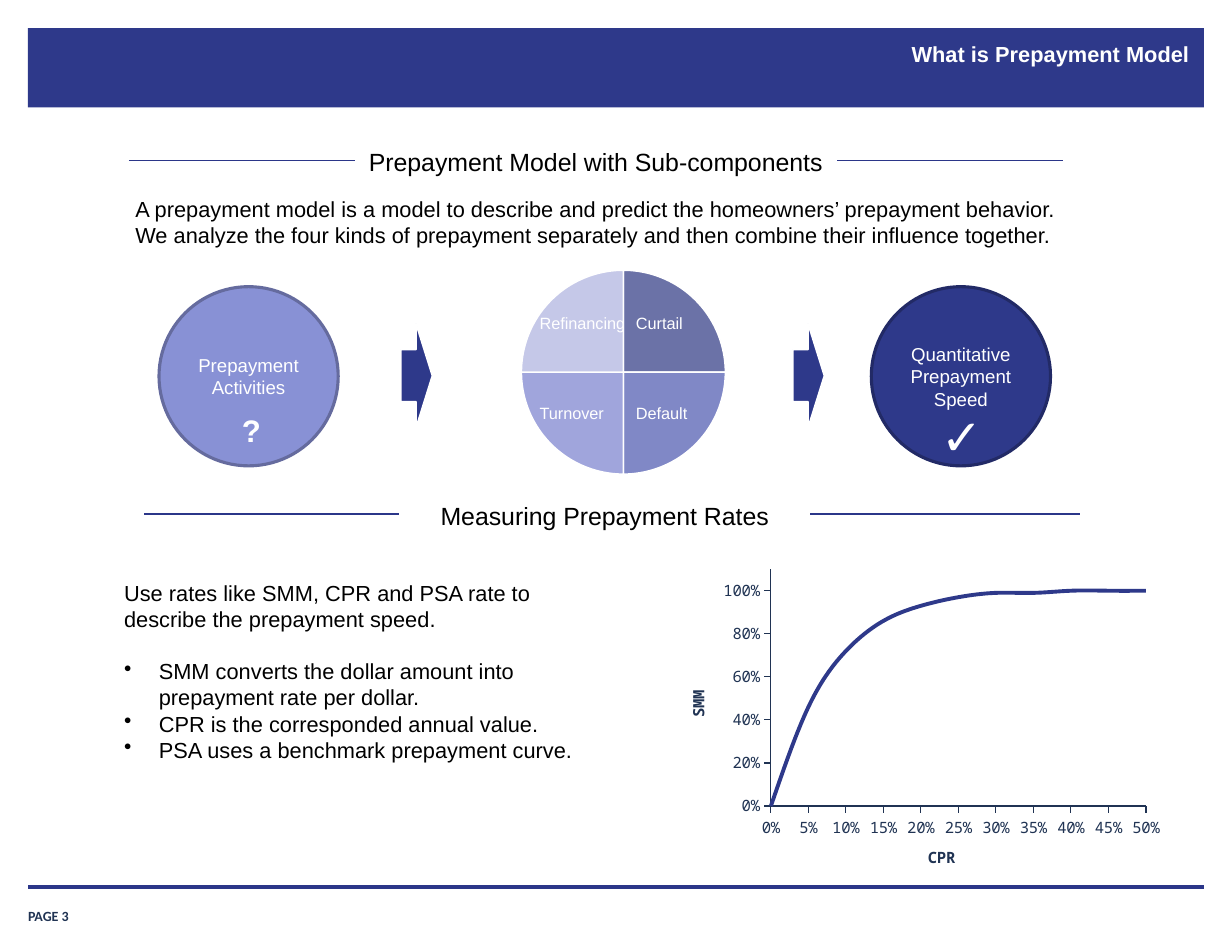
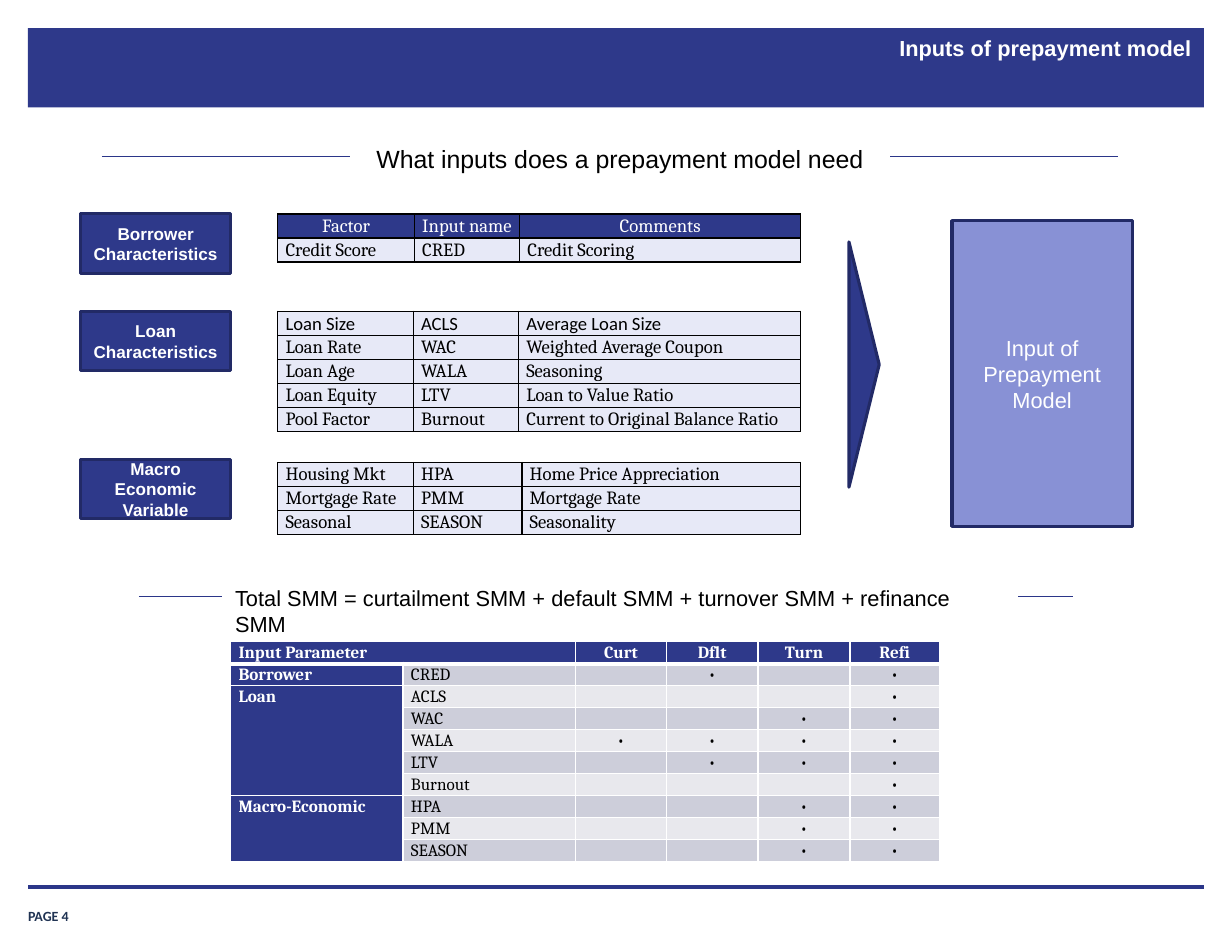
from dataclasses import dataclass

from lxml import etree
from pptx import Presentation
from pptx import util as u
from pptx.chart.data import CategoryChartData
from pptx.dml.color import RGBColor
from pptx.enum import chart as ch
from pptx.enum import shapes, text
from pptx.oxml.ns import qn

COLS, ROWS = 44, 34
SHAPE = shapes.MSO_SHAPE
LEFT, MID, RIGHT = text.PP_ALIGN.LEFT, text.PP_ALIGN.CENTER, text.PP_ALIGN.RIGHT
TOP, HALF, BASE = text.MSO_ANCHOR.TOP, text.MSO_ANCHOR.MIDDLE, text.MSO_ANCHOR.BOTTOM


@dataclass(frozen=True)
class Theme:
    """Colours, fonts and type sizes of the deck."""
    navy: str = "2E398A"
    rule: str = "2B3689"
    edge: str = "222A66"
    soft: str = "8891D5"
    rim: str = "656B9E"
    ink: str = "203353"
    pale: str = "E7E9F7"
    dark: str = "CDCEDA"
    light: str = "E8E8ED"
    white: str = "FFFFFF"
    black: str = "000000"
    pie: tuple = ("6B72A7", "8088C6", "A0A5DC", "C5C8E8")
    sans: str = "Arial"
    serif: str = "Cambria"
    plain: str = "Calibri"
    mono: str = "Noto Sans Mono"
    mark: float = 32
    query: float = 20
    chart: float = 18
    head: float = 16
    body: float = 14
    note: float = 12
    tag: float = 11
    wedge: float = 10.5
    axis: float = 10
    foot: float = 9


T = Theme()


def cell(n):
    """Turn grid units into a length."""
    return u.Inches(n * 11 / COLS)


@dataclass(frozen=True)
class Box:
    """A rectangle in columns and rows of the slide grid."""
    x: float
    y: float
    w: float
    h: float

    def at(self, x, y, w, h):
        """Give a box placed from this one's corner."""
        return Box(self.x + x, self.y + y, w, h)

    def spot(self):
        """Give left, top, width and height as lengths."""
        return [cell(n) for n in (self.x, self.y, self.w, self.h)]


def rgb(code):
    """Turn a hex code into a colour."""
    return RGBColor.from_string(code)


def style(font, size, color, name=T.sans, bold=False):
    """Set the look of a font."""
    font.size, font.name, font.bold = u.Pt(size), name, bold
    font.color.rgb = rgb(color)


def write(frame, lines, size, color, name=T.sans, bold=False, align=LEFT):
    """Write one paragraph per line and return them."""
    for i, line in enumerate(lines):
        para = frame.paragraphs[0] if i == 0 else frame.add_paragraph()
        para.alignment = align
        run = para.add_run()
        run.text = line
        style(run.font, size, color, name, bold)
    return frame.paragraphs


def setup(frame, anchor, pads=(0.1, 0.05)):
    """Set wrapping, anchor and insets of a text frame."""
    frame.word_wrap, frame.vertical_anchor = True, anchor
    frame.margin_left = frame.margin_right = u.Inches(pads[0])
    frame.margin_top = frame.margin_bottom = u.Inches(pads[1])


def label(slide, box, lines, size, color, anchor=TOP, pads=(0.1, 0.05), **look):
    """Add a text box."""
    frame = slide.shapes.add_textbox(*box.spot()).text_frame
    setup(frame, anchor, pads)
    return write(frame, lines, size, color, **look)


def block(slide, kind, box, fill, line=None, width=2, lines=(), size=T.note,
          color=T.white, anchor=HALF, align=MID, bold=False):
    """Add a filled shape with optional text."""
    shape = slide.shapes.add_shape(kind, *box.spot())
    shape.shadow.inherit = False
    shape.fill.solid()
    shape.fill.fore_color.rgb = rgb(fill)
    if line:
        shape.line.color.rgb, shape.line.width = rgb(line), u.Pt(width)
    else:
        shape.line.fill.background()
    setup(shape.text_frame, anchor)
    write(shape.text_frame, lines, size, color, bold=bold, align=align)
    return shape


def rule(slide, x, y, w, width):
    """Draw a level line."""
    line = slide.shapes.add_connector(
        shapes.MSO_CONNECTOR.STRAIGHT, cell(x), cell(y), cell(x + w), cell(y))
    line.line.color.rgb, line.line.width = rgb(T.rule), u.Pt(width)
    etree.SubElement(line._element.spPr, qn("a:effectLst"))


def page(deck, title, box, number):
    """Add a slide with its band, title and footer."""
    slide = deck.slides.add_slide(deck.slide_layouts[6])
    block(slide, SHAPE.RECTANGLE, Box(1, 1, 42, 2.84), T.navy)
    label(slide, Box(1, 32.08, 3.64, 0.92), [f"PAGE {number}"], T.foot, T.ink,
          BASE, (0, 0), name=T.plain, bold=True)
    rule(slide, 1, 31.68, 42, 2)
    label(slide, box, [title], T.body, T.white, pads=(0.11, 0.06), bold=True, align=RIGHT)
    return slide


def heading(slide, box, x, w, words, size=T.head, align=MID):
    """Set words over a gap in a thin rule."""
    rule(slide, box.x, box.y + box.h / 2 - 0.06, box.w, 0.75)
    block(slide, SHAPE.RECTANGLE, box.at(x, 0, w, box.h), T.white, T.white,
          lines=[words], size=size, color=T.black, anchor=TOP, align=align)


def layout(chart, x, y, w, h):
    """Fix the inner plot area as shares of the chart."""
    area = chart._chartSpace.chart.plotArea
    for old in area.findall(qn("c:layout")):
        area.remove(old)
    outer = etree.Element(qn("c:layout"))
    area.insert(0, outer)
    inner = etree.SubElement(outer, qn("c:manualLayout"))
    pairs = dict(layoutTarget="inner", xMode="edge", yMode="edge", x=x, y=y, w=w, h=h)
    for key, val in pairs.items():
        etree.SubElement(inner, qn("c:" + key), val=str(val))


def graph(slide, box, kind, names, vals, size, font):
    """Add a bare chart with one series."""
    data = CategoryChartData()
    data.categories = names
    data.add_series("Series 1", vals)
    chart = slide.shapes.add_chart(kind, *box.spot(), data).chart
    chart.has_legend = chart.has_title = False
    style(chart.font, size, T.ink, font)
    return chart


def pie(slide, box):
    """Draw the four equal parts."""
    chart = graph(slide, box, ch.XL_CHART_TYPE.PIE, ["1", "2", "3", "4"], [25] * 4,
                  T.chart, T.plain)
    layout(chart, 0.08, 0.05, 0.88, 0.87)
    plot = chart.plots[0]
    plot.vary_by_categories = True
    for i, color in enumerate(T.pie):
        look = plot.series[0].points[i].format
        look.fill.solid()
        look.fill.fore_color.rgb = rgb(color)
        look.line.color.rgb, look.line.width = rgb(T.white), u.Pt(1)


def curve(slide, box):
    """Draw SMM against CPR."""
    vals = [0, 0.46, 0.72, 0.86, 0.93, 0.97, 0.99, 0.99, 1, 1, 1]
    chart = graph(slide, box, ch.XL_CHART_TYPE.LINE, [f"{5 * i}%" for i in range(len(vals))],
                  vals, T.axis, T.mono)
    layout(chart, 0.18, 0.04, 0.77, 0.75)
    plot = chart.plots[0]
    plot.vary_by_categories = False
    line = plot.series[0]
    line.smooth = True
    line.marker.style = ch.XL_MARKER_STYLE.NONE
    line.format.line.color.rgb, line.format.line.width = rgb(T.navy), u.Pt(2.5)
    for axis, name in ((chart.category_axis, "CPR"), (chart.value_axis, "SMM")):
        axis.has_major_gridlines = False
        axis.major_tick_mark = ch.XL_TICK_MARK.OUTSIDE
        axis.minor_tick_mark = ch.XL_TICK_MARK.NONE
        axis.format.line.color.rgb, axis.format.line.width = rgb(T.ink), u.Pt(0.75)
        write(axis.axis_title.text_frame, [name], T.axis, T.ink, T.mono, True, MID)
    axis = chart.value_axis
    axis.minimum_scale, axis.maximum_scale, axis.major_unit = 0, 1.1, 0.2
    axis.tick_labels.number_format = "0%"
    axis.tick_labels.number_format_is_linked = False
    root = axis._element
    cross = root.find(qn("c:crossBetween"))
    if cross is None:
        cross = etree.Element(qn("c:crossBetween"))
        root.find(qn("c:crosses")).addnext(cross)
    cross.set("val", "midCat")


def flow(slide, box):
    """Show activities, their four kinds and the speed."""
    block(slide, SHAPE.OVAL, box.at(0, 2.28, 6.4, 6.4), T.soft, T.rim,
          lines=["Prepayment", "Activities"])
    pie(slide, box.at(12.28, 0, 8.28, 11))
    block(slide, SHAPE.OVAL, box.at(box.w - 6.4, 2.28, 6.4, 6.4), T.navy, T.edge,
          lines=["Quantitative Prepayment Speed"])
    for i in range(2):
        arrow = block(slide, SHAPE.RIGHT_ARROW, box.at(8.64 + 14 * i, 3.6, 1.12, 3.72),
                      T.navy, T.white, 1)
        arrow.adjustments[1] = 0.52
    for i, kind in enumerate(("Refinancing", "Curtail", "Turnover", "Default")):
        row, col = divmod(i, 2)
        label(slide, box.at(13.2 + 3.44 * col, 3.04 + 3.2 * row, 4.28, 1.12), [kind],
              T.wedge, T.white)
    label(slide, box.at(2.36, 6.52, 1.88, 1.76), ["?"], T.query, T.white, bold=True, align=MID)
    label(slide, box.at(27.92, 6.52, 1.44, 2.16), ["✓"], T.mark, T.white, pads=(0, 0))


def rates(slide, box):
    """List the rates beside the curve."""
    paras = label(slide, box.at(0, 0.64, 18.28, 7), [
        "Use rates like SMM, CPR and PSA rate to describe the prepayment speed.",
        "SMM converts the dollar amount into prepayment rate per dollar.",
        "CPR is the corresponded annual value.",
        "PSA uses a benchmark prepayment curve."], T.body, T.black)
    paras[0].space_after = u.Pt(16.5)
    for para in paras[1:]:
        props = para._p.get_or_add_pPr()
        props.set("marL", str(u.Inches(0.31)))
        props.set("indent", str(-u.Inches(0.31)))
        etree.SubElement(props, qn("a:buChar"), char="•")
    curve(slide, box.at(20.36, 0, 17.4, 11.28))


def fill(spot, words, back, color, size=T.note, name=T.serif, bold=False,
         align=LEFT, edge=T.black, base=1):
    """Fill one table cell and draw its borders."""
    props = spot._tc.get_or_add_tcPr()
    for side in "LRTB":
        line = etree.SubElement(props, qn("a:ln" + side),
                                w=str(u.Pt(base if side == "B" else 1)))
        paint = etree.SubElement(line, qn("a:solidFill"))
        etree.SubElement(paint, qn("a:srgbClr"), val=edge)
    spot.fill.solid()
    spot.fill.fore_color.rgb = rgb(back)
    spot.margin_left = spot.margin_right = u.Inches(0.07)
    spot.margin_top = spot.margin_bottom = 0
    para = spot.text_frame.paragraphs[0]
    para.line_spacing = 1.07
    if words:
        write(spot.text_frame, [words], size, color, name, bold, align)
    else:
        etree.SubElement(para._p, qn("a:endParaRPr"), sz=str(size * 100))


def grid(slide, box, cols, count, high):
    """Add a plain table with even rows."""
    spot = Box(box.x, box.y, sum(cols), high * count).spot()
    table = slide.shapes.add_table(count, len(cols), *spot).table
    table.first_row = table.horz_banding = False
    for col, wide in zip(table.columns, cols):
        col.width = cell(wide)
    for row in table.rows:
        row.height = cell(high)
    return table


def facts(slide, box, cols, rows, head=False, first=T.serif):
    """Add a table of factors, input names and comments."""
    table = grid(slide, box, cols, len(rows), 0.82)
    for r, row in enumerate(rows):
        top = head and r == 0
        for c, words in enumerate(row):
            fill(table.cell(r, c), words, T.navy if top else T.pale,
                 T.white if top else T.black, name=T.serif if r else first,
                 align=MID if top else LEFT)


def inputs(slide, box):
    """Show three groups of inputs leading to the model."""
    tags = ("Borrower Characteristics", "Loan Characteristics", "Macro Economic Variable")
    for tag, y in zip(tags, (0, 3.48, 8.76)):
        block(slide, SHAPE.RECTANGLE, box.at(0, y, 5.36, 2.12), T.navy, T.edge,
              lines=[tag], size=T.tag, bold=True)
    facts(slide, box.at(7.04, 0, 18.68, 2.5), (4.88, 3.76, 10.04), [
        ("Factor", "Input name", "Comments"),
        ("Credit Score", "CRED", "Credit Scoring")], head=True)
    facts(slide, box.at(7.04, 3.48, 18.68, 4.1), (4.84, 3.76, 10.08), [
        ("Loan Size", "ACLS", "Average Loan Size"),
        ("Loan Rate", "WAC", "Weighted Average Coupon"),
        ("Loan Age", "WALA", "Seasoning"),
        ("Loan Equity", "LTV", "Loan to Value Ratio"),
        ("Pool Factor", "Burnout", "Current to Original Balance Ratio")], first=T.plain)
    facts(slide, box.at(7.04, 8.88, 18.68, 2.5), (4.84, 3.88, 9.96), [
        ("Housing Mkt", "HPA", "Home Price Appreciation"),
        ("Mortgage Rate", "PMM", "Mortgage Rate"),
        ("Seasonal", "SEASON", "Seasonality")])
    wedge = block(slide, SHAPE.ISOSCELES_TRIANGLE, box.at(23.6, 4.84, 8.76, 1.08),
                  T.navy, T.edge)
    wedge.rotation = 90
    block(slide, SHAPE.RECTANGLE, box.at(31.12, 0.24, 6.44, 10.92), T.soft, T.edge,
          lines=["Input of", "Prepayment", "Model"], size=T.body)


def matrix(slide, box):
    """Mark which input feeds which share of the total."""
    groups = {"Borrower": {"CRED": " • •"},
              "Loan": {"ACLS": "   •", "WAC": "  ••", "WALA": "••••",
                       "LTV": " •••", "Burnout": "   •"},
              "Macro-Economic": {"HPA": "  ••", "PMM": "  ••", "SEASON": "  ••"}}
    table = grid(slide, box, (6.16, 6.16, 3.24, 3.28, 3.28, 3.2), 10, 0.78)
    top = dict(size=T.tag, bold=True, edge=T.white)
    for c, words in enumerate(("Input Parameter", "", "Curt", "Dflt", "Turn", "Refi")):
        fill(table.cell(0, c), words, T.navy, T.white, align=MID if c else LEFT, base=3, **top)
    table.cell(0, 0).merge(table.cell(0, 1))
    r = 1
    for group, names in groups.items():
        start = r
        for name, marks in names.items():
            fill(table.cell(r, 0), group if r == start else "", T.navy, T.white, **top)
            for c, words in enumerate((name, *marks), 1):
                fill(table.cell(r, c), words.strip(), T.dark if r % 2 else T.light, T.black,
                     T.tag, align=LEFT if c == 1 else MID, edge=T.white)
            r += 1
        if r - start > 1:
            table.cell(start, 0).merge(table.cell(r - 1, 0))


def main():
    """Build and save the deck."""
    deck = Presentation()
    deck.slide_width, deck.slide_height = cell(COLS), cell(ROWS)
    one = page(deck, "What is Prepayment Model", Box(11.08, 1.2, 31.84, 2.8), 3)
    label(one, Box(4.44, 6.8, 34.8, 2.28), [
        "A prepayment model is a model to describe and predict the homeowners’ prepayment behavior.",
        "We analyze the four kinds of prepayment separately and then combine their influence together."],
        T.body, T.black)
    flow(one, Box(5.68, 7.96, 31.84, 11))
    rates(one, Box(4.04, 19.88, 37.76, 11.28))
    heading(one, Box(5.16, 17.68, 33.4, 1.48), 9.16, 14.56, "Measuring Prepayment Rates")
    heading(one, Box(4.6, 5.04, 33.36, 1.48), 8.12, 17.12, "Prepayment Model with Sub-components")
    two = page(deck, "Inputs of prepayment model", Box(13.24, 1, 29.76, 2.96), 4)
    inputs(two, Box(2.88, 7.64, 37.56, 11.4))
    heading(two, Box(3.64, 4.92, 36.28, 1.48), 8.92, 19.16, "What inputs does a prepayment model need")
    matrix(two, Box(8.24, 22.92, 25.32, 7.8))
    heading(two, Box(4.96, 20.68, 33.36, 1.36), 3.04, 28.32,
            "Total SMM = curtailment SMM + default SMM + turnover SMM + refinance SMM", T.body, LEFT)
    deck.save("out.pptx")


if __name__ == "__main__":
    main()
